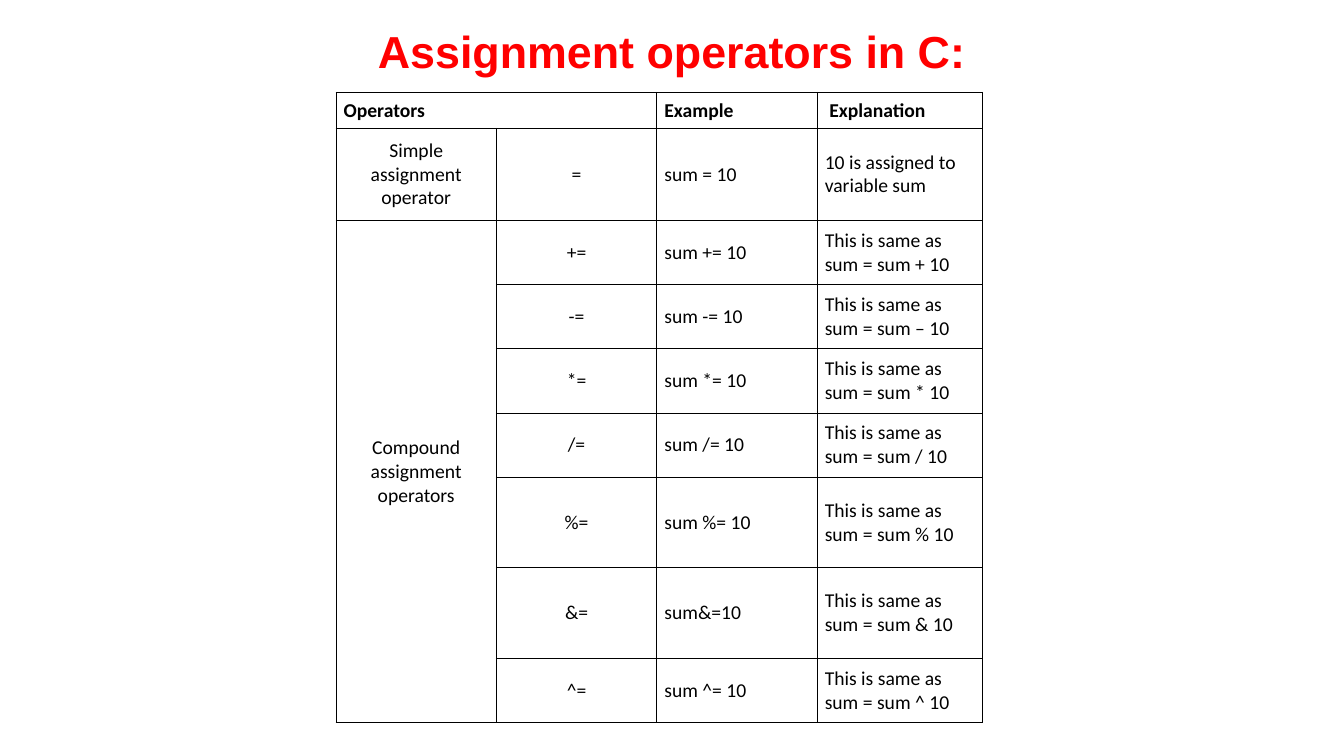
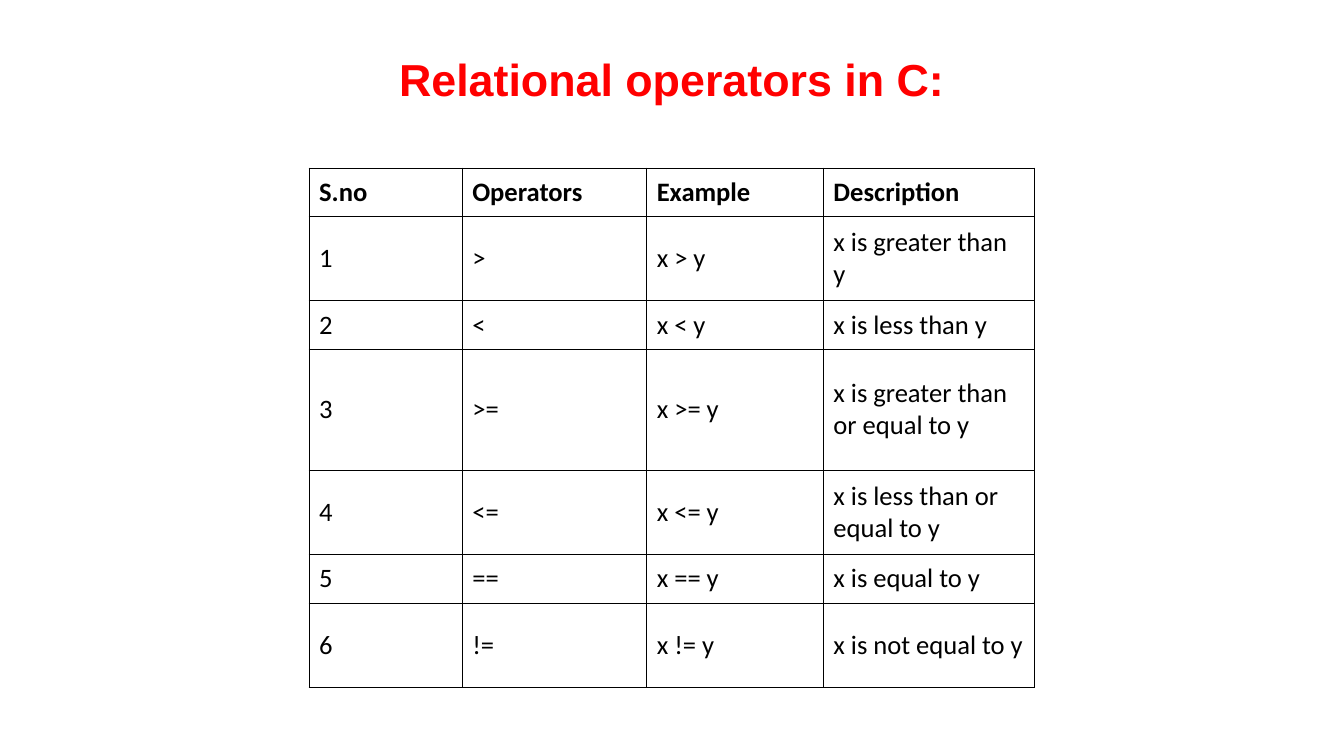
from lxml.etree import SubElement
from pptx import Presentation
from pptx.dml.color import RGBColor
from pptx.enum.text import MSO_ANCHOR as Anchor, MSO_AUTO_SIZE as AutoSize, PP_ALIGN as Align
from pptx.oxml.ns import qn
from pptx.util import Pt

RED, BLACK, WHITE = "FF0000", "000000", "FFFFFF"
TITLE_FONT, TABLE_FONT = "Arial", "Calibri"
TITLE_SIZE = 32
BORDER_WIDTH = 0.75


def color(value):
    return RGBColor.from_string(value)


def format_text(para, font_name, size, value, bold, align):
    para.alignment = align
    for span in para.runs:
        font = span.font
        font.name, font.size, font.bold = font_name, Pt(size), bold
        font.color.rgb = color(value)


def set_margins(target, horizontal, vertical):
    target.margin_left = target.margin_right = Pt(horizontal)
    target.margin_top = target.margin_bottom = Pt(vertical)


def add_title(page, text, box):
    title = page.shapes.title
    title.left, title.top, title.width, title.height = map(Pt, box)
    frame = title.text_frame
    frame.text = text
    frame.word_wrap = True
    frame.auto_size = AutoSize.NONE
    frame.vertical_anchor = Anchor.MIDDLE
    set_margins(frame, 0, 0)
    format_text(frame.paragraphs[0], TITLE_FONT, TITLE_SIZE, RED, True, Align.CENTER)


def add_borders(cell):
    properties = cell._tc.get_or_add_tcPr()
    for side in ("a:lnL", "a:lnR", "a:lnT", "a:lnB"):
        line = SubElement(properties, qn(side), w=str(Pt(BORDER_WIDTH)))
        fill = SubElement(line, qn("a:solidFill"))
        SubElement(fill, qn("a:srgbClr"), val=BLACK)


def add_grid(page, origin, widths, heights, rows, size, margins, centered=()):
    left, top = origin
    frame = page.shapes.add_table(
        len(rows), len(widths), Pt(left), Pt(top), Pt(sum(widths)), Pt(sum(heights)))
    table = frame.table
    table.first_row = table.horz_banding = False
    for column, width in zip(table.columns, widths):
        column.width = Pt(width)
    for row, height in zip(table.rows, heights):
        row.height = Pt(height)
    for r, texts in enumerate(rows):
        for c, text in enumerate(texts):
            cell = table.cell(r, c)
            cell.text = text
            cell.vertical_anchor = Anchor.MIDDLE
            set_margins(cell, *margins)
            add_borders(cell)
            cell.fill.solid()
            cell.fill.fore_color.rgb = color(WHITE)
            header = r == 0
            align = Align.CENTER if c in centered and not header else Align.LEFT
            format_text(cell.text_frame.paragraphs[0], TABLE_FONT, size, BLACK, header, align)
    return table


def build_assignment(page):
    add_title(page, "Assignment operators in C:", (156, 6, 648, 60))
    compound = [
        ("+=", "sum += 10", "sum + 10"),
        ("-=", "sum -= 10", "sum – 10"),
        ("*=", "sum *= 10", "sum * 10"),
        ("/=", "sum /= 10", "sum / 10"),
        ("%=", "sum %= 10", "sum % 10"),
        ("&=", "sum&=10", "sum & 10"),
        ("^=", "sum ^= 10", "sum ^ 10"),
    ]
    rows = [
        ("Operators", "", "Example", "Explanation"),
        ("Simple assignment operator", "=", "sum = 10", "10 is assigned to variable sum"),
    ]
    for index, (operator, example, result) in enumerate(compound):
        group = "" if index else "Compound assignment operators"
        rows.append((group, operator, example, f"This is same as sum = {result}"))
    heights = [25.7, 65.7] + [45.9] * 4 + [64.7] * 2 + [45.9]
    table = add_grid(page, (240, 66), [114.6] * 3 + [118], heights, rows,
                     14, (5.4, 2.7), centered=(0, 1))
    table.cell(0, 0).merge(table.cell(0, 1))
    table.cell(2, 0).merge(table.cell(len(rows) - 1, 0))
    table.cell(0, 3).margin_left = Pt(8.6)


def build_relational(page):
    add_title(page, "Relational operators in C:", (156, 21.6, 648, 68.4))
    relations = [
        (">", "greater than"),
        ("<", "less than"),
        (">=", "greater than or equal to"),
        ("<=", "less than or equal to"),
        ("==", "equal to"),
        ("!=", "not equal to"),
    ]
    rows = [("S.no", "Operators", "Example", "Description")]
    for number, (operator, meaning) in enumerate(relations, 1):
        rows.append((str(number), operator, f"x {operator} y", f"x is {meaning} y"))
    heights = [34.4, 60.6, 34.4, 86.4, 60.6, 34.4, 60.6]
    add_grid(page, (220.8, 120), [109.4, 131.8, 126.2, 150.8], heights, rows, 19, (7.2, 3.6))


def main():
    deck = Presentation()
    deck.slide_width, deck.slide_height = Pt(960), Pt(540)
    title_only = deck.slide_layouts[5]
    for build in (build_assignment, build_relational):
        build(deck.slides.add_slide(title_only))
    deck.save("out.pptx")


if __name__ == "__main__":
    main()
